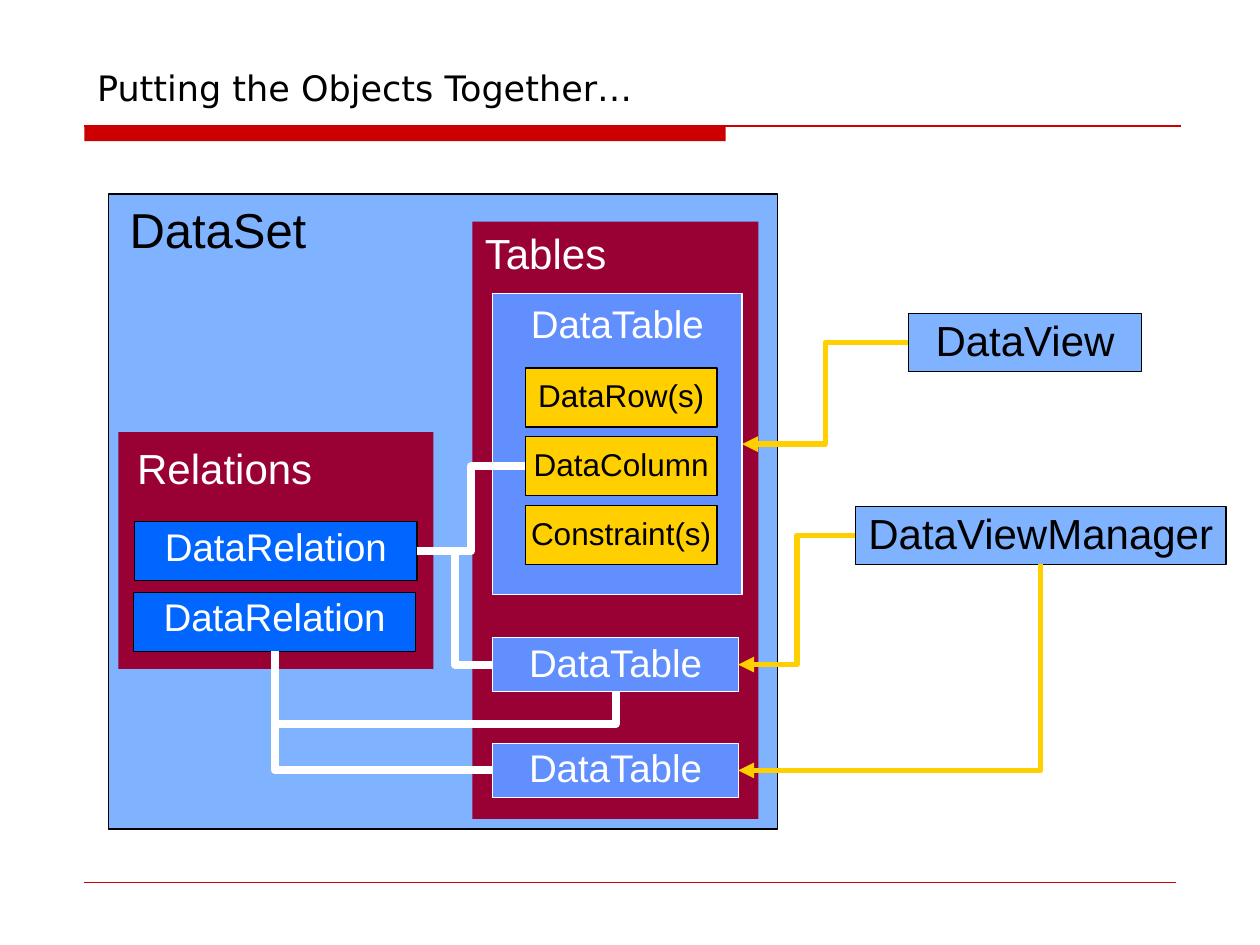
from lxml import etree
from pptx import Presentation
from pptx.dml.color import RGBColor
from pptx.enum.shapes import MSO_CONNECTOR, MSO_SHAPE
from pptx.enum.text import MSO_ANCHOR, MSO_AUTO_SIZE, PP_ALIGN
from pptx.oxml.ns import qn
from pptx.util import Inches, Pt

RECTANGLE = MSO_SHAPE.RECTANGLE
STRAIGHT, ELBOW = MSO_CONNECTOR.STRAIGHT, MSO_CONNECTOR.ELBOW
TOP, MIDDLE, BOTTOM = MSO_ANCHOR.TOP, MSO_ANCHOR.MIDDLE, MSO_ANCHOR.BOTTOM
LEFT, CENTER = PP_ALIGN.LEFT, PP_ALIGN.CENTER
NO_AUTOFIT = MSO_AUTO_SIZE.NONE

BLACK = RGBColor(0x00, 0x00, 0x00)
WHITE = RGBColor(0xFF, 0xFF, 0xFF)
RED = RGBColor(0xCC, 0x00, 0x00)
MAROON = RGBColor(0x99, 0x00, 0x33)
BLUE = RGBColor(0x00, 0x66, 0xFF)
PERIWINKLE = RGBColor(0x61, 0x8F, 0xFD)
GOLD = RGBColor(0xFF, 0xCF, 0x00)

LEFT_SIDE, BOTTOM_SIDE, RIGHT_SIDE = 1, 2, 3


def write_text(shape, text, size, color, align=CENTER, anchor=MIDDLE,
               wrap=True, spacing=0.9, font="Arial"):
    frame = shape.text_frame
    frame.text = text
    frame.auto_size = NO_AUTOFIT
    frame.word_wrap = wrap
    frame.vertical_anchor = anchor
    paragraph = frame.paragraphs[0]
    paragraph.alignment = align
    paragraph.line_spacing = spacing
    run_font = paragraph.runs[0].font
    run_font.name = font
    run_font.size = Pt(size)
    run_font.color.rgb = color


def add_box(slide, bounds, fill, line=None, opacity=100):
    shape = slide.shapes.add_shape(RECTANGLE, *map(Inches, bounds))
    shape.shadow.inherit = False
    shape.fill.solid()
    shape.fill.fore_color.rgb = fill
    if opacity < 100:
        color = shape._element.spPr.find(qn("a:solidFill"))[0]
        etree.SubElement(color, qn("a:alpha"), val=str(opacity * 1000))
    if line is None:
        shape.line.fill.background()
    else:
        shape.line.color.rgb = line
        shape.line.width = Pt(0.75)
    return shape


def add_label(slide, bounds, text, size, color, anchor):
    label = slide.shapes.add_textbox(*map(Inches, bounds))
    write_text(label, text, size, color, LEFT, anchor)


def style_line(connector, color, width):
    connector.line.color.rgb = color
    connector.line.width = Pt(width)
    etree.SubElement(connector._element.spPr, qn("a:effectLst"))


def add_rule(slide, top, right, width):
    rule = slide.shapes.add_connector(
        STRAIGHT, Inches(0.67), Inches(top), Inches(right), Inches(top))
    style_line(rule, RED, width)


def add_elbow(slide, start, start_side, end, end_side, color, width, arrow=False):
    connector = slide.shapes.add_connector(ELBOW, 0, 0, 0, 0)
    connector.begin_connect(start, start_side)
    connector.end_connect(end, end_side)
    style_line(connector, color, width)
    if arrow:
        line = connector._element.spPr.find(qn("a:ln"))
        etree.SubElement(line, qn("a:headEnd"), type="triangle")
    geometry = connector._element.spPr.find(qn("a:prstGeom"))
    if BOTTOM_SIDE == end_side != start_side:
        geometry.set("prst", "bentConnector2")
    elif start_side == end_side == BOTTOM_SIDE:
        turn_upright(connector, geometry, 1.8)
    return connector


def turn_upright(connector, geometry, bend):
    width, height = connector.width, connector.height
    connector.left += (width - height) // 2
    connector.top += (height - width) // 2
    connector.width, connector.height = height, width
    transform = connector._element.spPr.find(qn("a:xfrm"))
    transform.set("rot", "16200000")
    transform.set("flipH", "1")
    adjustments = geometry.find(qn("a:avLst"))
    if adjustments is None:
        adjustments = etree.SubElement(geometry, qn("a:avLst"))
    etree.SubElement(adjustments, qn("a:gd"), name="adj1",
                     fmla=f"val {round(bend * 100000)}")


def add_title(slide):
    title = slide.shapes.title
    title.left, title.top = Inches(0.67), Inches(0.33)
    title.width, title.height = Inches(8.5), Inches(0.58)
    write_text(title, "Putting the Objects Together…", 20, BLACK, LEFT, BOTTOM,
               spacing=1.0, font="DejaVu Sans")


def add_tables(slide):
    tables = add_box(slide, (3.75, 1.76, 2.27, 4.74), MAROON)
    write_text(tables, "Tables", 24, WHITE, LEFT, TOP, spacing=1.0)
    main_table = add_box(slide, (3.91, 2.33, 1.98, 2.39), PERIWINKLE, WHITE)
    write_text(main_table, "DataTable", 22, WHITE, anchor=TOP, spacing=1.0)
    parts = []
    for index, name in enumerate(("DataRow(s)", "DataColumn", "Constraint(s)")):
        part = add_box(slide, (4.17, 2.92 + 0.545 * index, 1.52, 0.47), GOLD, BLACK)
        write_text(part, name, 18, BLACK, wrap=False)
        parts.append(part)
    small_tables = []
    for top in (5.06, 5.9):
        table = add_box(slide, (3.91, top, 1.95, 0.43), PERIWINKLE, WHITE)
        write_text(table, "DataTable", 22, WHITE)
        small_tables.append(table)
    return main_table, parts[1], small_tables


def add_relations(slide):
    add_box(slide, (0.94, 3.43, 2.5, 1.88), MAROON)
    add_label(slide, (0.99, 3.51, 2.28, 0.46), "Relations", 24, WHITE, MIDDLE)
    relations = []
    for left, top in ((1.07, 4.14), (1.06, 4.7)):
        relation = add_box(slide, (left, top, 2.24, 0.47), BLUE, BLACK)
        write_text(relation, "DataRelation", 22, WHITE, anchor=TOP)
        relations.append(relation)
    return relations


def add_view(slide, bounds, text):
    view = add_box(slide, bounds, BLUE, BLACK, opacity=50)
    write_text(view, text, 24, BLACK, wrap=False)
    return view


def main():
    presentation = Presentation()
    presentation.slide_width, presentation.slide_height = Inches(10), Inches(7.5)
    slide = presentation.slides.add_slide(presentation.slide_layouts[5])

    add_box(slide, (0.67, 1, 5.09, 0.12), RED)
    add_rule(slide, 1, 9.37, 0.75)
    add_rule(slide, 7, 9.33, 0.25)
    add_title(slide)

    add_box(slide, (0.86, 1.54, 5.31, 5.04), BLUE, BLACK, opacity=50)
    add_label(slide, (0.93, 1.59, 1.6, 0.52), "DataSet", 28, BLACK, TOP)
    main_table, column, (middle_table, last_table) = add_tables(slide)
    first_relation, second_relation = add_relations(slide)
    view = add_view(slide, (7.21, 2.49, 1.85, 0.46), "DataView")
    manager = add_view(slide, (6.79, 4.02, 2.94, 0.46), "DataViewManager")

    for table, source, side in (
        (last_table, manager, BOTTOM_SIDE),
        (middle_table, manager, LEFT_SIDE),
        (main_table, view, LEFT_SIDE),
    ):
        add_elbow(slide, table, RIGHT_SIDE, source, side, GOLD, 3, arrow=True)
    for start, start_side, end, end_side in (
        (last_table, LEFT_SIDE, second_relation, BOTTOM_SIDE),
        (first_relation, RIGHT_SIDE, middle_table, LEFT_SIDE),
        (first_relation, RIGHT_SIDE, column, LEFT_SIDE),
        (second_relation, BOTTOM_SIDE, middle_table, BOTTOM_SIDE),
    ):
        add_elbow(slide, start, start_side, end, end_side, WHITE, 4.5)

    presentation.save("out.pptx")


if __name__ == "__main__":
    main()
